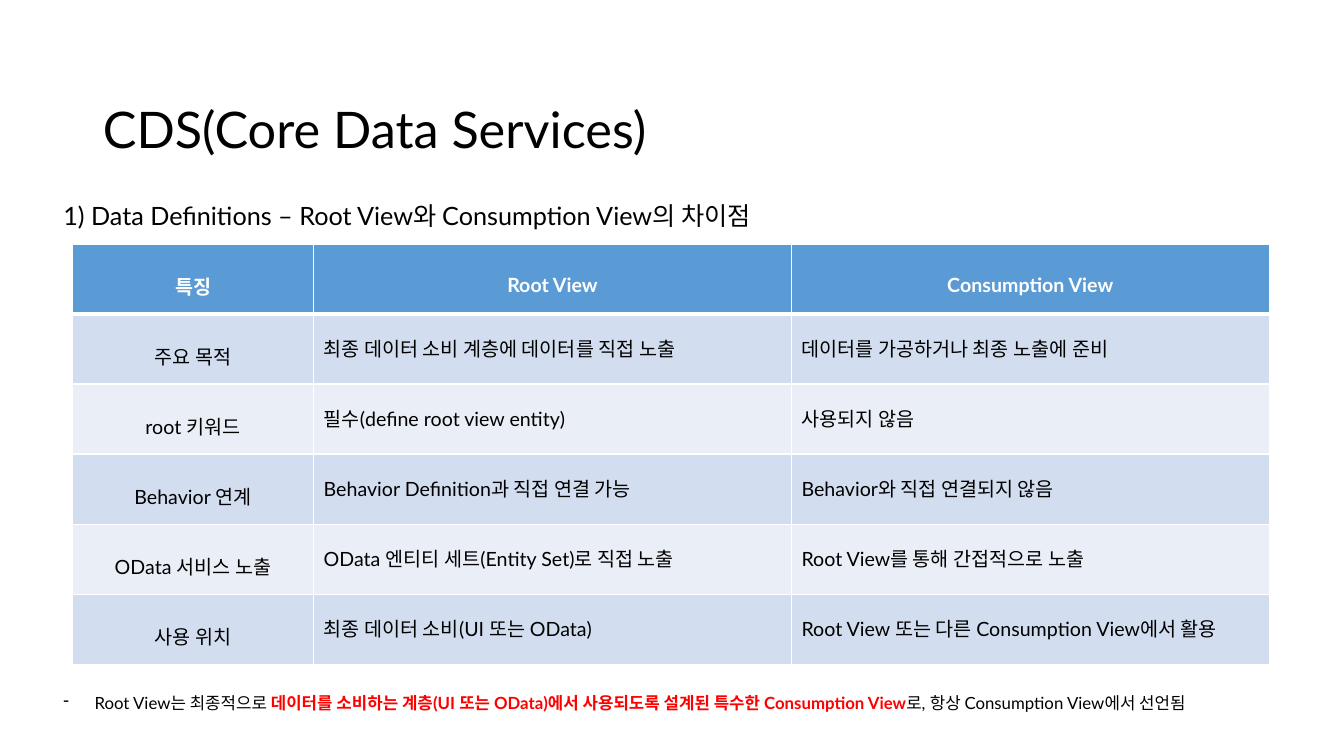
import dataclasses

import pptx
import pptx.dml.color
import pptx.enum.text
import pptx.oxml
import pptx.oxml.ns
import pptx.util
from pptx.util import Inches

ALIGN = pptx.enum.text.PP_ALIGN
ANCHOR = pptx.enum.text.MSO_ANCHOR


@dataclasses.dataclass(frozen=True)
class Theme:
    font: str = "Lato"
    text: str = "000000"
    light: str = "FFFFFF"
    accent: str = "FF0000"
    header: str = "5B9BD5"
    bands: tuple = ("D2DEEF", "EAEFF7")
    title_size: int = 36
    heading_size: int = 18
    table_size: int = 14
    note_size: int = 12
    line_spacing: float = 1.5


THEME = Theme()

COLUMN_WIDTHS = (2.39, 4.74, 4.74)
ROWS = (
    ("특징", "Root View", "Consumption View"),
    ("주요 목적", "최종 데이터 소비 계층에 데이터를 직접 노출", "데이터를 가공하거나 최종 노출에 준비"),
    ("root 키워드", "필수(define root view entity)", "사용되지 않음"),
    ("Behavior 연계", "Behavior Definition과 직접 연결 가능", "Behavior와 직접 연결되지 않음"),
    ("OData 서비스 노출", "OData 엔티티 세트(Entity Set)로 직접 노출", "Root View를 통해 간접적으로 노출"),
    ("사용 위치", "최종 데이터 소비(UI 또는 OData)", "Root View 또는 다른 Consumption View에서 활용"),
)


def rgb(color):
    return pptx.dml.color.RGBColor.from_string(color)


def add_text(p, text, size, color=THEME.text, bold=False, align=ALIGN.LEFT):
    """Append a formatted run to a paragraph."""
    p.alignment = align
    p.line_spacing = THEME.line_spacing
    r = p.add_run()
    r.text = text
    r.font.name = THEME.font
    r.font.size = pptx.util.Pt(size)
    r.font.bold = bold
    r.font.color.rgb = rgb(color)


def place(sp, left, top, width, height):
    sp.left, sp.top = Inches(left), Inches(top)
    sp.width, sp.height = Inches(width), Inches(height)


def add_title(slide, text):
    sp = slide.shapes.title
    place(sp, 0.92, 0.4, 11.5, 1.45)
    tf = sp.text_frame
    tf.vertical_anchor = ANCHOR.MIDDLE
    add_text(tf.paragraphs[0], text, THEME.title_size)


def add_text_box(slide, left, top, width, height):
    """Add a wrapping text box and return its first paragraph."""
    sp = slide.shapes.add_textbox(Inches(left), Inches(top), Inches(width), Inches(height))
    tf = sp.text_frame
    tf.word_wrap = True
    tf.auto_size = pptx.enum.text.MSO_AUTO_SIZE.SHAPE_TO_FIT_TEXT
    return tf.paragraphs[0]


def set_dash_bullet(p, indent):
    pPr = p._p.get_or_add_pPr()
    pPr.set("marL", str(Inches(indent)))
    pPr.set("indent", str(-Inches(indent)))
    pPr.append(pptx.oxml.parse_xml(
        f'<a:buChar {pptx.oxml.ns.nsdecls("a")} char="-"/>'))


def set_borders(cell, **widths):
    """Draw the four cell borders; widths are in points, keyed by side."""
    tcPr = cell._tc.get_or_add_tcPr()
    for side in "LRTB":
        width = pptx.util.Pt(widths.get(side, 1))
        tcPr.append(pptx.oxml.parse_xml(
            f'<a:ln{side} {pptx.oxml.ns.nsdecls("a")} w="{width}"><a:solidFill>'
            f'<a:srgbClr val="{THEME.light}"/></a:solidFill></a:ln{side}>'))


def format_cell(cell, text, row, col):
    is_header = row == 0
    is_centered = is_header or col == 0
    # Thick rule between the header and the body
    set_borders(cell, B=3 if is_header else 1, T=3 if row == 1 else 1)
    cell.fill.solid()
    cell.fill.fore_color.rgb = rgb(THEME.header if is_header else THEME.bands[(row - 1) % 2])
    cell.vertical_anchor = ANCHOR.MIDDLE if is_centered else ANCHOR.TOP
    add_text(cell.text_frame.paragraphs[0], text, THEME.table_size,
             color=THEME.light if is_header else THEME.text, bold=is_header,
             align=ALIGN.CENTER if is_centered else ALIGN.LEFT)


def add_comparison_table(slide):
    table = slide.shapes.add_table(
        len(ROWS), len(COLUMN_WIDTHS), Inches(0.72), Inches(2.42),
        Inches(sum(COLUMN_WIDTHS)), Inches(4.17)).table
    for column, width in zip(table.columns, COLUMN_WIDTHS):
        column.width = Inches(width)
    for row, texts in enumerate(ROWS):
        for col, text in enumerate(texts):
            format_cell(table.cell(row, col), text, row, col)


def main():
    prs = pptx.Presentation()
    prs.slide_width, prs.slide_height = Inches(13.33), Inches(7.5)
    slide = prs.slides.add_slide(prs.slide_layouts.get_by_name("Title Only"))

    # Comparison table
    add_comparison_table(slide)

    # Title and section heading
    add_title(slide, "CDS(Core Data Services)")
    p = add_text_box(slide, 0.53, 1.79, 11.88, 0.5)
    add_text(p, "1) Data Definitions – Root View와 Consumption View의 차이점", THEME.heading_size)

    # Closing note
    p = add_text_box(slide, 0.53, 6.72, 12.08, 0.37)
    add_text(p, "Root View는 최종적으로 ", THEME.note_size)
    add_text(p, "데이터를 소비하는 계층(UI 또는 OData)에서 사용되도록 설계된 특수한 Consumption View",
             THEME.note_size, color=THEME.accent, bold=True)
    add_text(p, "로, 항상 Consumption View에서 선언됨", THEME.note_size)
    set_dash_bullet(p, 0.31)

    prs.save("out.pptx")


if __name__ == "__main__":
    main()
